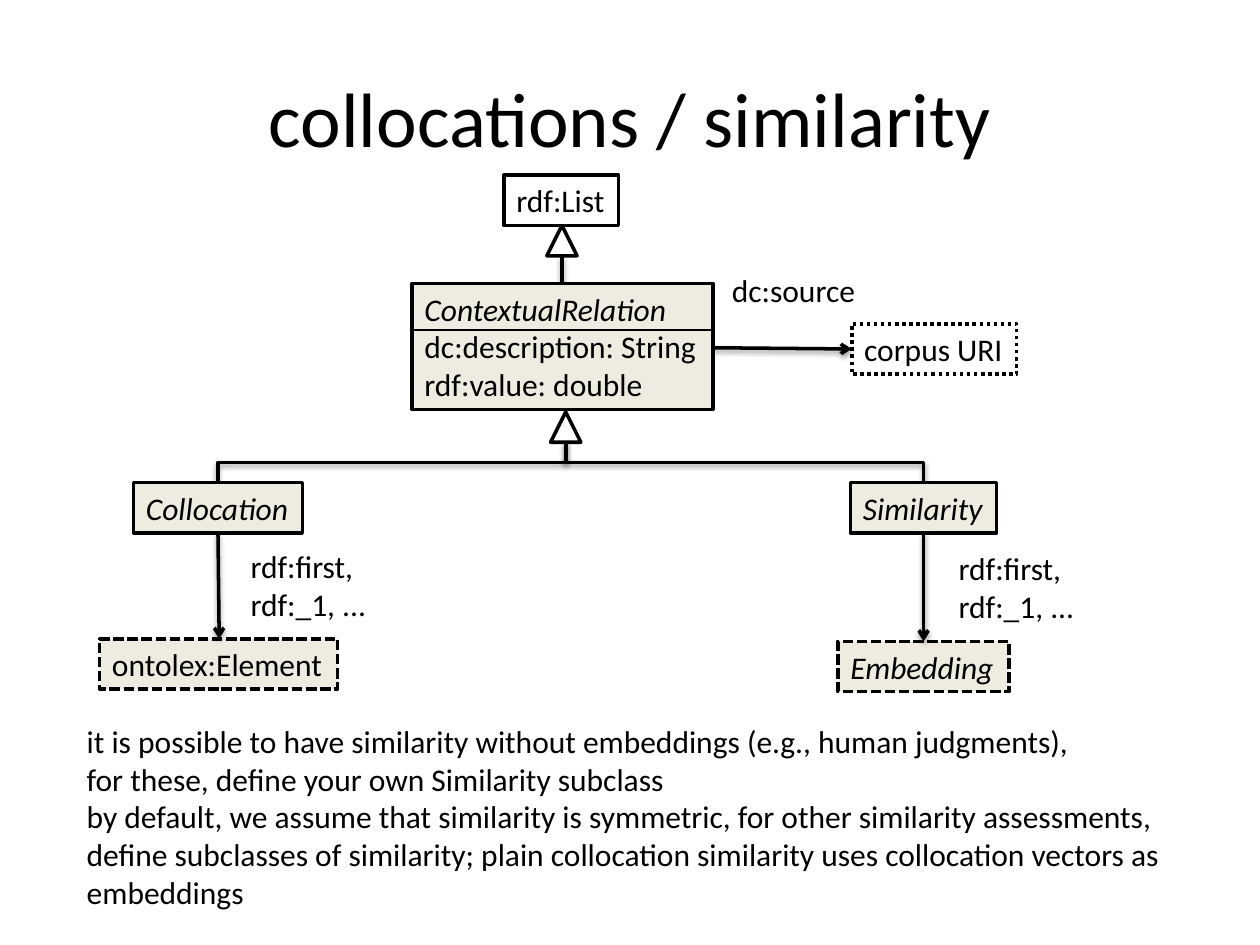
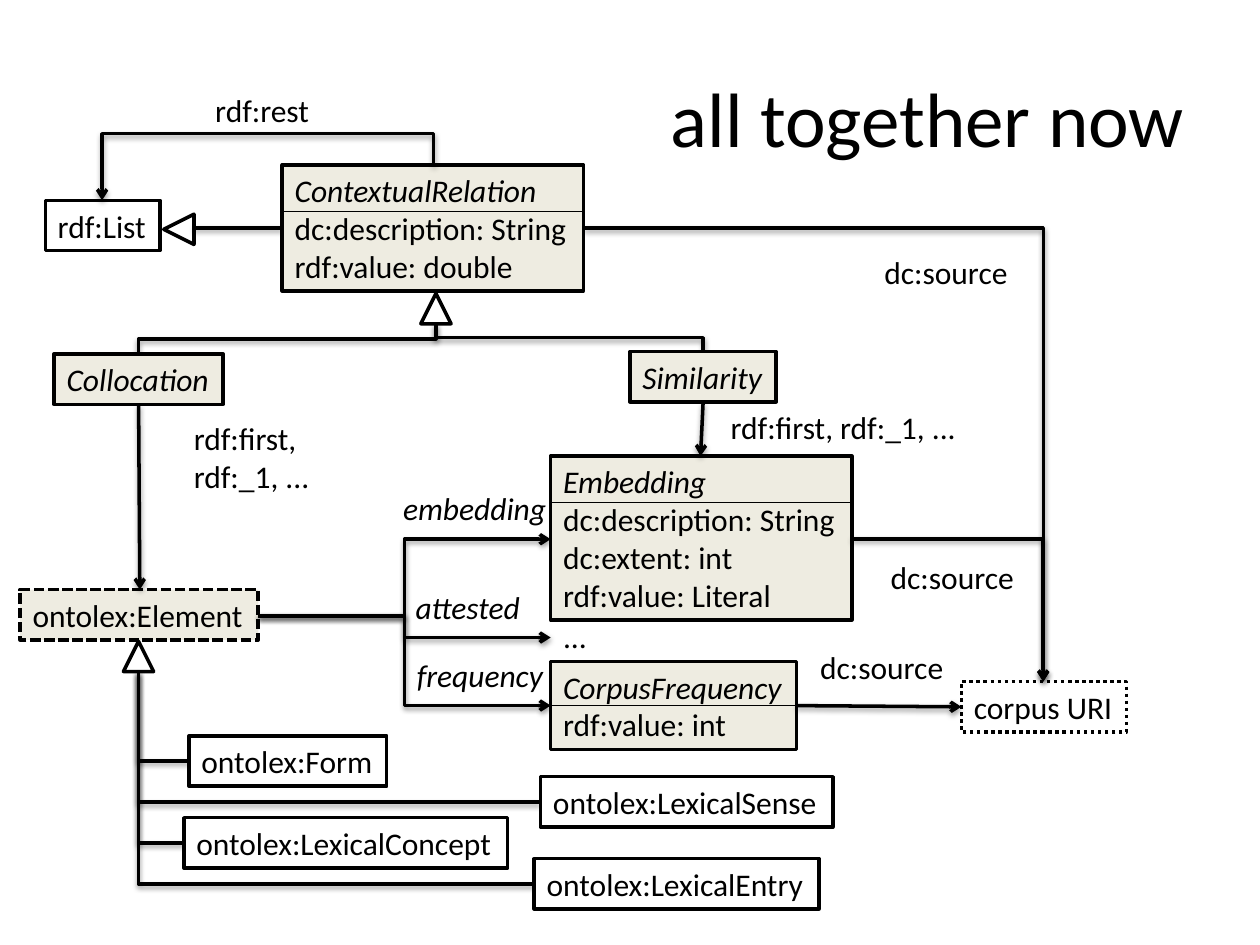
from lxml import etree
from pptx import Presentation
from pptx.dml.color import RGBColor
from pptx.enum.dml import MSO_LINE
from pptx.enum.shapes import MSO_CONNECTOR, MSO_SHAPE
from pptx.enum.text import MSO_ANCHOR, MSO_AUTO_SIZE, PP_ALIGN
from pptx.oxml.ns import qn
from pptx.util import Inches, Pt

BLACK = RGBColor(0x00, 0x00, 0x00)
WHITE = RGBColor(0xFF, 0xFF, 0xFF)
CREAM = RGBColor(0xEE, 0xEC, 0xE1)
FONT = "Calibri"
DASHED, DOTTED = MSO_LINE.SQUARE_DOT, MSO_LINE.ROUND_DOT
STRAIGHT, ELBOW = MSO_CONNECTOR.STRAIGHT, MSO_CONNECTOR.ELBOW
RECTANGLE, TRIANGLE = MSO_SHAPE.RECTANGLE, MSO_SHAPE.ISOSCELES_TRIANGLE
LEFT, CENTER, RIGHT = PP_ALIGN.LEFT, PP_ALIGN.CENTER, PP_ALIGN.RIGHT
TOP, MIDDLE = MSO_ANCHOR.TOP, MSO_ANCHOR.MIDDLE
FIT_TEXT, NO_FIT = MSO_AUTO_SIZE.SHAPE_TO_FIT_TEXT, MSO_AUTO_SIZE.NONE

ROW = 0.3
NODE_HEIGHT = 0.4
TRIANGLE_SIDE = 0.24
RELATION_WIDTH = 2.39
MEMBERS = ["rdf:first,", "rdf:_1, ..."]
RELATION = ["ContextualRelation", "dc:description: String", "rdf:value: double"]


def set_all(target, values):
    """Set every attribute in a dict of format values."""
    for name, value in values.items():
        setattr(target, name, value)


def write(shape, lines, italics=0, size=18, align=LEFT, anchor=TOP,
          wrap=False, auto_size=FIT_TEXT):
    """Write one paragraph per line, the first few of them in italics."""
    frame = shape.text_frame
    set_all(frame, {"word_wrap": wrap, "vertical_anchor": anchor, "auto_size": auto_size})
    for index, line in enumerate(lines):
        paragraph = frame.paragraphs[0] if index == 0 else frame.add_paragraph()
        paragraph.alignment = align
        run = paragraph.add_run()
        run.text = line
        set_all(run.font, {"name": FONT, "size": Pt(size), "italic": index < italics})
        run.font.color.rgb = BLACK


def add_label(slide, left, top, width, lines, italics=0, wrap=False):
    """Add plain text whose height follows its lines."""
    height = ROW * len(lines) + 0.1
    box = slide.shapes.add_textbox(*map(Inches, (left, top, width, height)))
    write(box, lines, italics, wrap=wrap)


def add_title(slide, text, align):
    """Add the slide title."""
    box = slide.shapes.add_textbox(*map(Inches, (0.5, 0.3, 9, 1.25)))
    write(box, [text], size=44, align=align, anchor=MIDDLE, wrap=True, auto_size=NO_FIT)


def add_outlined(slide, kind, left, top, width, height, fill, dash=None):
    """Add a preset shape with a black outline."""
    shape = slide.shapes.add_shape(kind, *map(Inches, (left, top, width, height)))
    shape.shadow.inherit = False
    if fill is None:
        shape.fill.background()
    else:
        shape.fill.solid()
        shape.fill.fore_color.rgb = fill
    shape.line.color.rgb = BLACK
    set_all(shape.line, {"width": Pt(2), "dash_style": dash})
    return shape


def add_node(slide, left, top, width, lines, fill=CREAM, italics=0, dash=None):
    """Add a box that holds its lines of text."""
    height = ROW * len(lines) + 0.1
    node = add_outlined(slide, RECTANGLE, left, top, width, height, fill, dash)
    write(node, lines, italics)


def add_class(slide, left, top, width, lines, divider=0.37):
    """Add a class box with an italic name above a dividing line."""
    add_node(slide, left, top, width, lines, italics=1)
    y = top + divider
    add_line(slide, (left, y), (left + width, y), weight=0.75, shadow=False)


def add_triangle(slide, left, top, rotation=0):
    """Add the hollow head of a generalisation."""
    head = add_outlined(slide, TRIANGLE, left, top, TRIANGLE_SIDE, TRIANGLE_SIDE, WHITE)
    head.rotation = rotation


def style_line(connector, weight, arrow, shadow):
    """Give a connector its colour, weight, arrowhead and shadow."""
    connector.line.color.rgb = BLACK
    connector.line.width = Pt(weight)
    properties = connector.element.spPr
    if arrow:
        etree.SubElement(properties.find(qn("a:ln")), qn("a:tailEnd"), type="arrow")
    effects = etree.SubElement(properties, qn("a:effectLst"))
    if shadow:
        outer = etree.SubElement(effects, qn("a:outerShdw"), blurRad=str(Pt(3.1)),
                                 dist=str(Pt(1.6)), dir="5400000", rotWithShape="0")
        color = etree.SubElement(outer, qn("a:srgbClr"), val=str(BLACK))
        etree.SubElement(color, qn("a:alpha"), val="38000")


def add_line(slide, start, end, arrow=False, weight=2, shadow=True):
    """Add a straight line between two points."""
    connector = slide.shapes.add_connector(STRAIGHT, *map(Inches, (*start, *end)))
    style_line(connector, weight, arrow, shadow)


def add_elbow(slide, start, end, vertical=False, bend=0.5, arrow=False):
    """Add a bent line; without a bend position it turns only once."""
    rotation = 0
    if vertical:
        across, down = end[0] - start[0], end[1] - start[1]
        middle_x, middle_y = (start[0] + end[0]) / 2, (start[1] + end[1]) / 2
        turn = -1 if across > 0 else 1
        rotation = 270 if across > 0 else 90
        start = (middle_x - turn * down / 2, middle_y + turn * across / 2)
        end = (middle_x + turn * down / 2, middle_y - turn * across / 2)
    connector = slide.shapes.add_connector(ELBOW, *map(Inches, (*start, *end)))
    properties = connector.element.spPr
    if rotation:
        properties.find(qn("a:xfrm")).set("rot", str(rotation * 60000))
    geometry = properties.find(qn("a:prstGeom"))
    if bend is None:
        geometry.set("prst", "bentConnector2")
    else:
        guides = geometry.find(qn("a:avLst"))
        etree.SubElement(guides, qn("a:gd"), name="adj1", fmla=f"val {round(bend * 100000)}")
    style_line(connector, 2, arrow, True)


def add_relation_tree(slide, left, top, children):
    """Add ContextualRelation with its subclasses forking below it."""
    add_class(slide, left, top, RELATION_WIDTH, RELATION)
    add_triangle(slide, left + 1.1, top + 1.02)
    for name, child_left, child_top, width in children:
        add_elbow(slide, (left + 1.22, top + 1.26), (child_left + width / 2, child_top),
                  vertical=True)
        add_node(slide, child_left, child_top, width, [name], italics=1)


def add_element(slide, left, top):
    """Add the dashed ontolex:Element box."""
    add_node(slide, left, top, 1.89, ["ontolex:Element"], dash=DASHED)


def add_list(slide, left, top):
    """Add the rdf:List box."""
    add_node(slide, left, top, 0.91, ["rdf:List"], fill=WHITE)


def add_corpus(slide, left, top):
    """Add the dotted corpus URI box."""
    add_node(slide, left, top, 1.31, ["corpus URI"], fill=None, dash=DOTTED)


def add_source_label(slide, left, top):
    """Add a dc:source label."""
    add_label(slide, left, top, 1.19, ["dc:source"])


def add_element_subtypes(slide, left, top):
    """Add the four element subclasses below a shared triangle."""
    add_triangle(slide, left, top)
    stem = left + TRIANGLE_SIDE / 2
    subtypes = [("Form", 0.52, 1.57), ("LexicalSense", 3.31, 2.32),
                ("LexicalConcept", 0.48, 2.57), ("LexicalEntry", 3.26, 2.26)]
    for index, (name, offset, width) in enumerate(subtypes):
        y = top + 0.75 + index * 0.325
        add_elbow(slide, (stem, top + TRIANGLE_SIDE), (left + offset, y + NODE_HEIGHT / 2),
                  vertical=True, bend=None)
        add_node(slide, left + offset, y, width, [f"ontolex:{name}"], fill=WHITE)


def add_observables(slide, left, top):
    """Add the three properties that branch from the element."""
    target = left + 2.32
    branches = [("embedding", 1.05, -1.06, 1.35, -0.61),
                ("attested", 1.15, -0.27, 1.04, 0.17),
                ("frequency", 1.16, 0.27, 1.24, 0.71)]
    for name, offset, label_top, width, end in branches:
        add_label(slide, left + offset, top + label_top, width, [name], italics=1)
        add_elbow(slide, (left, top), (target, top + end), arrow=True)
    add_label(slide, target, top - 0.04, 0.39, ["..."])
    add_class(slide, target, top - 1.27, RELATION_WIDTH,
              ["Embedding", "dc:description: String", "dc:extent: int", "rdf:value: Literal"])
    add_class(slide, target, top + 0.36, 1.95, ["CorpusFrequency", "rdf:value: int"], 0.35)


def build_similarity_slide(slide):
    """Build the slide on collocations and similarity."""
    add_title(slide, "collocations / similarity", CENTER)
    add_element(slide, 0.79, 5.07)
    add_corpus(slide, 6.76, 2.57)
    add_line(slide, (5.65, 2.76), (6.76, 2.77), arrow=True)
    add_source_label(slide, 5.71, 2.1)
    add_list(slide, 4, 1.39)
    add_triangle(slide, 4.34, 1.79)
    add_line(slide, (4.46, 2.03), (4.46, 2.25))
    add_relation_tree(slide, 3.27, 2.25, [("Collocation", 1.06, 3.83, 1.34),
                                          ("Similarity", 6.75, 3.83, 1.16)])
    add_node(slide, 6.65, 5.09, 1.36, ["Embedding"], italics=1, dash=DASHED)
    add_line(slide, (1.73, 4.23), (1.74, 5.07), arrow=True)
    add_line(slide, (7.33, 4.23), (7.33, 5.09), arrow=True)
    add_label(slide, 1.89, 4.29, 1.13, MEMBERS)
    add_label(slide, 7.51, 4.31, 1.13, MEMBERS)
    add_label(slide, 0.59, 5.68, 8.87, [
        "it is possible to have similarity without embeddings (e.g., human judgments),",
        "for these, define your own Similarity subclass",
        "by default, we assume that similarity is symmetric, for other similarity assessments,",
        "define subclasses of similarity; plain collocation similarity uses collocation vectors as",
        "embeddings"])


def build_overview_slide(slide):
    """Build the slide that shows the whole model."""
    add_title(slide, "all together now", RIGHT)
    add_element(slide, 0.16, 4.68)
    add_element_subtypes(slide, 0.98, 5.09)
    add_observables(slide, 2.05, 4.89)
    add_corpus(slide, 7.63, 5.41)
    add_line(slide, (6.32, 5.6), (7.63, 5.61), arrow=True)
    for start in [(6.76, 4.28), (4.63, 1.81)]:
        add_elbow(slide, start, (8.28, 5.41), bend=None, arrow=True)
    for left, top in [(6.41, 5.09), (6.97, 4.38), (6.92, 1.96)]:
        add_source_label(slide, left, top)
    add_list(slide, 0.36, 1.59)
    add_triangle(slide, 1.3, 1.7, rotation=270)
    add_line(slide, (1.54, 1.81), (2.24, 1.81))
    add_relation_tree(slide, 2.24, 1.31, [("Collocation", 0.43, 2.81, 1.34),
                                          ("Similarity", 5, 2.79, 1.16)])
    add_line(slide, (1.1, 3.21), (1.11, 4.68), arrow=True)
    add_label(slide, 1.44, 3.28, 1.13, MEMBERS)
    add_line(slide, (5.58, 3.2), (5.56, 3.62), arrow=True)
    add_label(slide, 5.7, 3.19, 2.69, [" ".join(MEMBERS)], wrap=True)
    add_elbow(slide, (3.44, 1.31), (0.81, 1.59), vertical=True, bend=-0.89, arrow=True)
    add_label(slide, 1.61, 0.67, 0.95, ["rdf:rest"])


def main():
    """Build both slides and save the presentation."""
    presentation = Presentation()
    set_all(presentation, {"slide_width": Inches(10), "slide_height": Inches(7.5)})
    for build in (build_similarity_slide, build_overview_slide):
        build(presentation.slides.add_slide(presentation.slide_layouts[6]))
    presentation.save("out.pptx")


if __name__ == "__main__":
    main()
